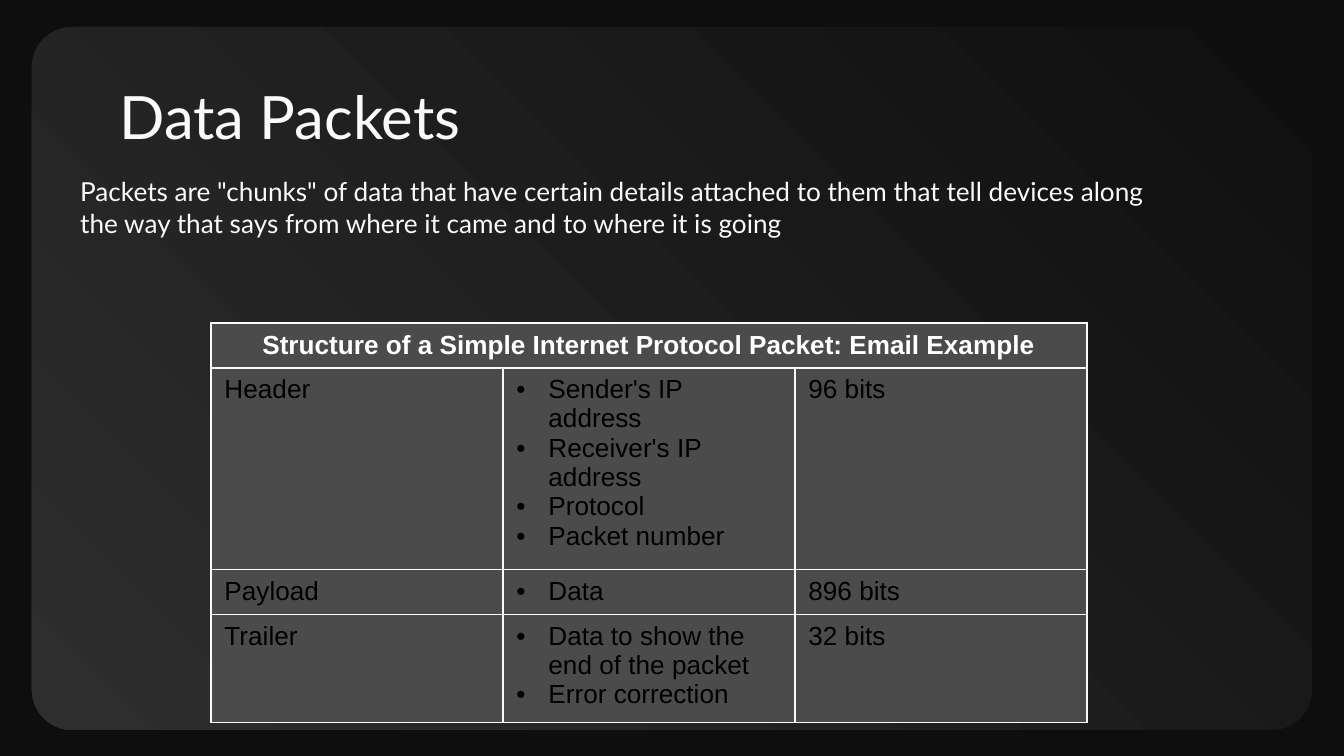
from dataclasses import dataclass

import pptx
import pptx.dml.color
import pptx.enum.shapes
import pptx.enum.text
import pptx.oxml
import pptx.oxml.ns
import pptx.util

RGBColor = pptx.dml.color.RGBColor
PP_ALIGN = pptx.enum.text.PP_ALIGN
MSO_ANCHOR = pptx.enum.text.MSO_ANCHOR

EMU_PER_PX = 914400 / 134.4
BACKGROUND = RGBColor(0x0E, 0x0E, 0x0E)
PANEL_DARK = RGBColor(0x0F, 0x0F, 0x0F)
PANEL_LIGHT = RGBColor(0x2E, 0x2E, 0x2E)
LIGHT = RGBColor(0xFA, 0xFA, 0xFA)
WHITE = RGBColor(0xFF, 0xFF, 0xFF)
BLACK = RGBColor(0x00, 0x00, 0x00)
CELL = RGBColor(0x4B, 0x4B, 0x4B)


@dataclass(frozen=True)
class Box:
    x: int
    y: int
    w: int
    h: int


@dataclass(frozen=True)
class Style:
    font: str
    size: int
    color: RGBColor
    bold: bool = False


@dataclass(frozen=True)
class PacketPart:
    name: str
    contents: tuple[str, ...]
    size: str
    height: int


SLIDE = Box(0, 0, 1344, 756)
PANEL = Box(32, 27, 1280, 703)
TITLE = Box(106, 66, 1133, 85)
INTRO = Box(67, 169, 1133, 77)
TABLE = Box(211, 323, 876, 399)
HEADING_HEIGHT = 45
BULLET_INDENT = 32

TITLE_STYLE = Style("Lato", 32, LIGHT)
INTRO_STYLE = Style("Lato", 14, LIGHT)
HEADING_STYLE = Style("Arial", 14, WHITE, True)
CELL_STYLE = Style("Arial", 14, BLACK)

INTRO_TEXT = (
    'Packets are "chunks" of data that have certain details attached to them '
    "that tell devices along the way that says from where it came and to where it is going"
)
HEADING = "Structure of a Simple Internet Protocol Packet: Email Example"
PARTS = (
    PacketPart(
        "Header",
        ("Sender's IP address", "Receiver's IP address", "Protocol", "Packet number"),
        "96 bits",
        201,
    ),
    PacketPart("Payload", ("Data",), "896 bits", 45),
    PacketPart(
        "Trailer",
        ("Data to show the end of the packet", "Error correction"),
        "32 bits",
        108,
    ),
)


def px(value: int) -> pptx.util.Emu:
    return pptx.util.Emu(round(value * EMU_PER_PX))


def bounds(box: Box) -> tuple:
    return px(box.x), px(box.y), px(box.w), px(box.h)


def add_run(p, text: str, style: Style) -> None:
    r = p.add_run()
    r.text = text
    r.font.name = style.font
    r.font.size = pptx.util.Pt(style.size)
    r.font.bold = style.bold
    r.font.color.rgb = style.color


def add_bullet(p) -> None:
    pPr = p._p.get_or_add_pPr()
    pPr.set("marL", str(px(BULLET_INDENT)))
    pPr.set("indent", str(-px(BULLET_INDENT)))
    ns = pptx.oxml.ns.nsdecls("a")
    for xml in (
        f'<a:buClr {ns}><a:srgbClr val="{BLACK}"/></a:buClr>',
        f'<a:buFont {ns} typeface="Arial"/>',
        f'<a:buChar {ns} char="•"/>',
    ):
        pPr.append(pptx.oxml.parse_xml(xml))


def format_cell(cell) -> None:
    tcPr = cell._tc.get_or_add_tcPr()
    ns = pptx.oxml.ns.nsdecls("a")
    for side in ("lnL", "lnR", "lnT", "lnB"):
        tcPr.append(pptx.oxml.parse_xml(
            f'<a:{side} {ns} w="{pptx.util.Pt(1)}"><a:solidFill>'
            f'<a:srgbClr val="{LIGHT}"/></a:solidFill></a:{side}>'
        ))
    cell.fill.solid()
    cell.fill.fore_color.rgb = CELL


def add_panel(s):
    sp = s.shapes.add_shape(
        pptx.enum.shapes.MSO_SHAPE.ROUNDED_RECTANGLE, *bounds(PANEL)
    )
    sp.adjustments[0] = 0.057
    sp.shadow.inherit = False
    sp.line.fill.background()
    sp.fill.gradient()
    sp.fill.gradient_angle = 225
    for stop, color, position in zip(
        sp.fill.gradient_stops, (PANEL_DARK, PANEL_LIGHT), (0, 1)
    ):
        stop.color.rgb = color
        stop.position = position
    return sp


def format_title(sp) -> None:
    sp.left, sp.top, sp.width, sp.height = bounds(TITLE)
    tf = sp.text_frame
    tf.auto_size = pptx.enum.text.MSO_AUTO_SIZE.NONE
    tf.vertical_anchor = MSO_ANCHOR.TOP
    tf.margin_left = tf.margin_right = pptx.util.Inches(0.1)
    tf.margin_top = tf.margin_bottom = pptx.util.Inches(0.1)
    p = tf.paragraphs[0]
    p.alignment = PP_ALIGN.LEFT
    add_run(p, "Data Packets", TITLE_STYLE)


def add_intro(s) -> None:
    tf = s.shapes.add_textbox(*bounds(INTRO)).text_frame
    tf.word_wrap = True
    add_run(tf.paragraphs[0], INTRO_TEXT, INTRO_STYLE)


def fill_bullets(tf, items: tuple[str, ...]) -> None:
    for i, item in enumerate(items):
        p = tf.add_paragraph() if i else tf.paragraphs[0]
        add_bullet(p)
        add_run(p, item, CELL_STYLE)


def add_packet_table(s) -> None:
    table = s.shapes.add_table(len(PARTS) + 1, 3, *bounds(TABLE)).table
    for column in table.columns:
        column.width = px(TABLE.w // 3)
    heights = (HEADING_HEIGHT, *(part.height for part in PARTS))
    for row, height in zip(table.rows, heights):
        row.height = px(height)
    for cell in table.iter_cells():
        format_cell(cell)

    heading = table.cell(0, 0)
    heading.merge(table.cell(0, 2))
    heading.vertical_anchor = MSO_ANCHOR.MIDDLE
    p = heading.text_frame.paragraphs[0]
    p.alignment = PP_ALIGN.CENTER
    add_run(p, HEADING, HEADING_STYLE)

    for row, part in enumerate(PARTS, 1):
        for column, text in ((0, part.name), (2, part.size)):
            tf = table.cell(row, column).text_frame
            add_run(tf.paragraphs[0], text, CELL_STYLE)
        fill_bullets(table.cell(row, 1).text_frame, part.contents)


def main() -> None:
    prs = pptx.Presentation()
    prs.slide_width, prs.slide_height = px(SLIDE.w), px(SLIDE.h)
    s = prs.slides.add_slide(prs.slide_layouts[5])
    s.background.fill.solid()
    s.background.fill.fore_color.rgb = BACKGROUND
    title = s.shapes.title
    title.element.addprevious(add_panel(s).element)
    format_title(title)
    add_intro(s)
    add_packet_table(s)
    prs.save("out.pptx")


if __name__ == "__main__":
    main()
